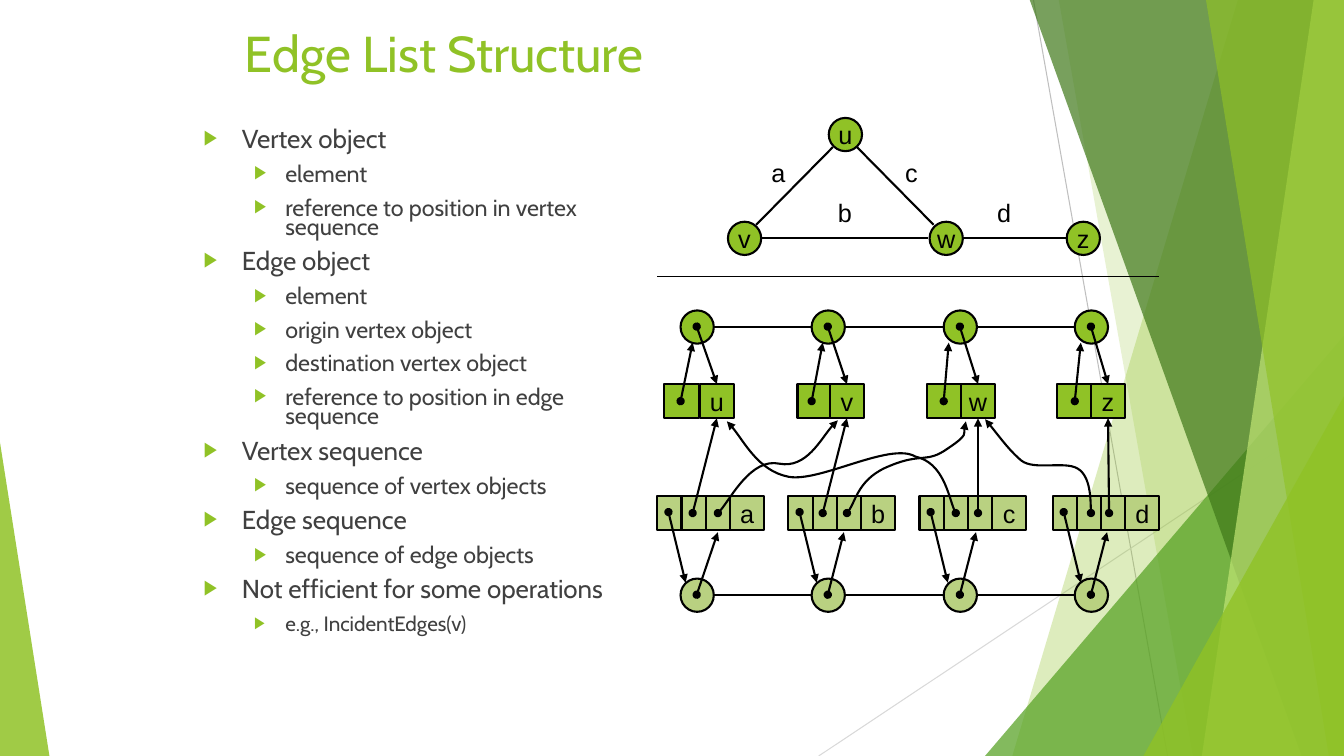
from dataclasses import dataclass
from itertools import accumulate

from lxml.etree import SubElement
from pptx import Presentation
from pptx.dml.color import RGBColor
from pptx.enum.shapes import MSO_CONNECTOR, MSO_SHAPE
from pptx.enum.text import MSO_ANCHOR, MSO_AUTO_SIZE, PP_ALIGN
from pptx.oxml.ns import qn
from pptx.util import Pt

PX = 9144
GREEN = RGBColor(0x90, 0xC2, 0x26)
PALE_GREEN = RGBColor(0xB9, 0xD1, 0x81)
MID_GREEN = RGBColor(0x54, 0xA0, 0x21)
DARK_GREEN = RGBColor(0x3F, 0x78, 0x19)
LIME = RGBColor(0xC0, 0xE4, 0x74)
BLACK = RGBColor(0, 0, 0)
TEXT_GREY = RGBColor(0x40, 0x40, 0x40)
LINE_GREY = RGBColor(0xBF, 0xBF, 0xBF)
LIGHT_GREY = RGBColor(0xD9, 0xD9, 0xD9)
NODE, CELL, REFERENCE = 33, 34, 24

OUTLINE = (
    (0, 18.5, "Vertex object"),
    (1, 16.6, "element"),
    (1, 16.6, "reference to position in vertex sequence"),
    (0, 18.5, "Edge object"),
    (1, 16.6, "element"),
    (1, 16.6, "origin vertex object"),
    (1, 16.6, "destination vertex object"),
    (1, 16.6, "reference to position in edge sequence"),
    (0, 18.5, "Vertex sequence"),
    (1, 16.6, "sequence of vertex objects"),
    (0, 18.5, "Edge sequence"),
    (1, 16.6, "sequence of edge objects"),
    (0, 18.5, "Not efficient for some operations"),
    (1, 14.8, "e.g., IncidentEdges(v)"),
)
DESTINATION_CURVES = (
    ((62, 209), (72, 200), (95, 154), (123, 160), (150, 165), (169, 126), (181, 117)),
    ((190, 209), (198, 201), (202, 174), (233, 162), (264, 149), (269, 160), (290, 145),
     (311, 131), (305, 124), (308, 118)),
    ((298, 209), (292, 199), (286, 159), (258, 153), (233, 138), (163, 179), (132, 173),
     (102, 167), (84, 130), (71, 118)),
    ((432, 209), (432, 209), (432, 173), (419, 165), (406, 157), (376, 167), (363, 157),
     (351, 147), (335, 125), (327, 116)),
)


def apply(target, values):
    """Set each named attribute on the target."""
    for name, value in values.items():
        setattr(target, name, value)


def write(frame, text, anchor):
    """Put one centred, unwrapped label in a text frame."""
    apply(frame, {"word_wrap": False, "vertical_anchor": anchor})
    paragraph = frame.paragraphs[0]
    paragraph.alignment = PP_ALIGN.CENTER
    run = paragraph.add_run()
    run.text = text
    apply(run.font, {"size": Pt(18), "name": "Arial"})
    run.font.color.rgb = BLACK


def stroke(item, color=BLACK, width=1.5, pointer=False):
    """Format a line, with a dot and an arrowhead if it is a pointer."""
    item.line.color.rgb = color
    item.line.width = Pt(width)
    if pointer:
        ln = item.line._get_or_add_ln()
        SubElement(ln, qn("a:headEnd"), type="oval")
        SubElement(ln, qn("a:tailEnd"), type="triangle")


def tint(shape, color, opacity):
    """Fill a shape with a translucent colour and no outline."""
    shape.shadow.inherit = False
    shape.fill.solid()
    shape.fill.fore_color.rgb = color
    shape.line.fill.background()
    swatch = shape._element.spPr.find(qn("a:solidFill"))[0]
    SubElement(swatch, qn("a:alpha"), val=str(opacity * 1000))


@dataclass
class Region:
    """A box on the slide whose parts are placed from its top left corner."""

    shapes: object
    left: int
    top: int
    width: int
    height: int

    def place(self, x, y):
        """Turn a point of the region into slide lengths."""
        return (self.left + x) * PX, (self.top + y) * PX

    def shape(self, preset, x, y, width, height):
        """Add a preset shape."""
        return self.shapes.add_shape(preset, *self.place(x, y), width * PX, height * PX)

    def block(self, preset, x, y, width, height, color, text=""):
        """Add a filled, outlined node or cell."""
        block = self.shape(preset, x, y, width, height)
        block.shadow.inherit = False
        block.fill.solid()
        block.fill.fore_color.rgb = color
        stroke(block)
        if text:
            write(block.text_frame, text, MSO_ANCHOR.MIDDLE)
        return block

    def node(self, x, y, color, text=""):
        """Add a round node."""
        return self.block(MSO_SHAPE.OVAL, x, y, NODE, NODE, color, text)

    def label(self, text, x, y):
        """Add a free-standing edge label."""
        frame = self.shapes.add_textbox(*self.place(x, y), 34 * PX, 40 * PX).text_frame
        write(frame, text, MSO_ANCHOR.TOP)
        frame.auto_size = MSO_AUTO_SIZE.SHAPE_TO_FIT_TEXT

    def line(self, start, end, target=None, site=0, **style):
        """Add a straight line, joined to a target if there is one."""
        line = self.shapes.add_connector(
            MSO_CONNECTOR.STRAIGHT, *self.place(*start), *self.place(*end))
        stroke(line, **style)
        SubElement(line._element.spPr, qn("a:effectLst"))
        if target is not None:
            line.end_connect(target, site)

    def outline(self, points, close):
        """Add a freeform through the points."""
        builder = self.shapes.build_freeform(*points[0], scale=PX)
        builder.add_line_segments(points[1:], close=close)
        return builder.convert_to_shape(*self.place(0, 0))

    def curve(self, points):
        """Add a curved pointer from Bézier points."""
        curve = self.outline(points, False)
        curve.shadow.inherit = False
        curve.fill.background()
        stroke(curve, pointer=True)
        route = next(curve._element.iter(qn("a:path")))
        segments = route.findall(qn("a:lnTo"))
        for first in range(0, len(segments), 3):
            bezier = SubElement(route, qn("a:cubicBezTo"))
            for segment in segments[first:first + 3]:
                bezier.append(segment[0])
                route.remove(segment)


def draw_backdrop(region):
    """Draw the green facets at the slide's edges."""
    right, bottom = region.width, region.height
    region.line((1025, 0), (1158, bottom), color=LINE_GREY, width=0.75)
    region.line((right, 403), (812, bottom), color=LIGHT_GREY, width=0.75)
    facets = (
        (1228, 1004, GREEN, 30), (1050, 1183, GREEN, 20),
        (977, 333, 356, 100000, MID_GREEN, 72),
        (1021, 1291, DARK_GREEN, 70), (1303, 1192, LIME, 70), (1196, 1318, GREEN, 65),
        (1134, 393, 199, 100000, GREEN, 80), (0, 439, 49, 0, GREEN, 85),
    )
    for *place, color, opacity in facets:
        if len(place) == 2:
            upper, lower = place
            corners = ((upper, -1), (right, -1), (right, bottom), (lower, bottom))
            facet = region.outline(corners, True)
        else:
            x, y, width, peak = place
            facet = region.shape(MSO_SHAPE.ISOSCELES_TRIANGLE, x, y, width, bottom - y)
            facet.adjustments[0] = peak / 100000
        tint(facet, color, opacity)


def fill_placeholder(holder, region, lines, color):
    """Move a placeholder to its region and write its lines."""
    apply(holder, dict(zip(("left", "top"), region.place(0, 0))))
    apply(holder, {"width": region.width * PX, "height": region.height * PX})
    frame = holder.text_frame
    apply(frame, {"word_wrap": True, "vertical_anchor": MSO_ANCHOR.TOP,
                  "auto_size": MSO_AUTO_SIZE.NONE})
    for index, (level, size, text) in enumerate(lines):
        paragraph = frame.add_paragraph() if index else frame.paragraphs[0]
        apply(paragraph, {"level": level, "alignment": PP_ALIGN.LEFT,
                          "space_before": Pt(10 if index else 0)})
        run = paragraph.add_run()
        run.text = text
        apply(run.font, {"size": Pt(size), "name": "Cabin"})
        run.font.color.rgb = color


def add_bullets(paragraphs):
    """Give the outline its arrow bullets, indents and tight lines."""
    for paragraph in paragraphs:
        margin, hang = ((38, 38), (81, 31))[paragraph.level]
        paragraph.line_spacing = 0.7
        properties = paragraph._p.get_or_add_pPr()
        properties.set("marL", str(margin * PX))
        properties.set("indent", str(-hang * PX))
        SubElement(SubElement(properties, qn("a:buClr")), qn("a:srgbClr"), val=str(GREEN))
        SubElement(properties, qn("a:buSzPct"), val="80000")
        SubElement(properties, qn("a:buFont"), typeface="Arial")
        SubElement(properties, qn("a:buChar"), char="▶")


def draw_graph(region):
    """Draw the example graph."""
    for text, x, y in (("v", 2, 105), ("u", 102, 2), ("w", 202, 105), ("z", 338, 105)):
        region.node(x, y, GREEN, text)
    for start, end in (((130, 31), (206, 108)), ((106, 31), (30, 108)),
                       ((200, 121), (36, 121)), ((337, 121), (236, 121))):
        region.line(start, end)
    for text, x, y in (("a", 35, 36), ("c", 167, 36), ("b", 101, 76), ("d", 259, 76)):
        region.label(text, x, y)


def draw_edge_list(region):
    """Draw the vertex and edge sequences with their records and pointers."""
    columns = [25 + round(391 * i / 3) for i in range(4)]
    for y, color in ((8, GREEN), (274, PALE_GREEN)):
        region.line((columns[-1], y + 16), (columns[0] + NODE, y + 16))
        for x in columns:
            region.node(x, y, color)
    vertices = zip("uvwz", columns, (9, 141, 269, 398), (44, 173, 303, 432),
                   (37, 166, 291, 422))
    vertex_cells = []
    for name, column, pointer, label, tip in vertices:
        region.block(MSO_SHAPE.RECTANGLE, pointer, 81, CELL, CELL, GREEN)
        cell = region.block(MSO_SHAPE.RECTANGLE, label, 81, CELL, CELL, GREEN, name)
        vertex_cells.append(cell)
        region.line((column + 16, 24), (label + 17, 81), cell, 0, pointer=True)
        region.line((column, 98), (tip, 40), pointer=True)
    edges = zip("abcd", columns, (2, 132, 262, 394), (62, 187, 318, 448),
                (37, 166, 320, 450), vertex_cells, DESTINATION_CURVES)
    for name, column, left, tip, origin, cell, curve in edges:
        widths = (REFERENCE, REFERENCE, REFERENCE, CELL)
        for x, width in zip(accumulate(widths, initial=left), widths):
            text = name if width == CELL else ""
            region.block(MSO_SHAPE.RECTANGLE, x, 192, width, CELL, PALE_GREEN, text)
        region.line((left + 11, 208), (left + 28, 278), pointer=True)
        region.line((column + 16, 290), (tip, 228), pointer=True)
        region.line((origin, 209), (origin, 115), cell, 2, pointer=True)
        region.curve(curve)


def main():
    """Build and save the slide."""
    deck = Presentation()
    apply(deck, {"slide_width": 1333 * PX, "slide_height": 750 * PX})
    slide = deck.slides.add_slide(deck.slide_layouts[1])
    shapes = slide.shapes
    draw_backdrop(Region(shapes, 0, 0, 1333, 750))
    title, body = shapes.title, slide.placeholders[1]
    fill_placeholder(title, Region(shapes, 233, 17, 892, 92),
                     ((0, 36, "Edge List Structure"),), GREEN)
    fill_placeholder(body, Region(shapes, 192, 125, 475, 558), OUTLINE, TEXT_GREY)
    add_bullets(body.text_frame.paragraphs)
    draw_graph(Region(shapes, 720, 115, 373, 140))
    Region(shapes, 652, 274, 498, 0).line((0, 0), (498, 0), width=0.75)
    draw_edge_list(Region(shapes, 650, 300, 500, 310))
    deck.save("out.pptx")


if __name__ == "__main__":
    main()
